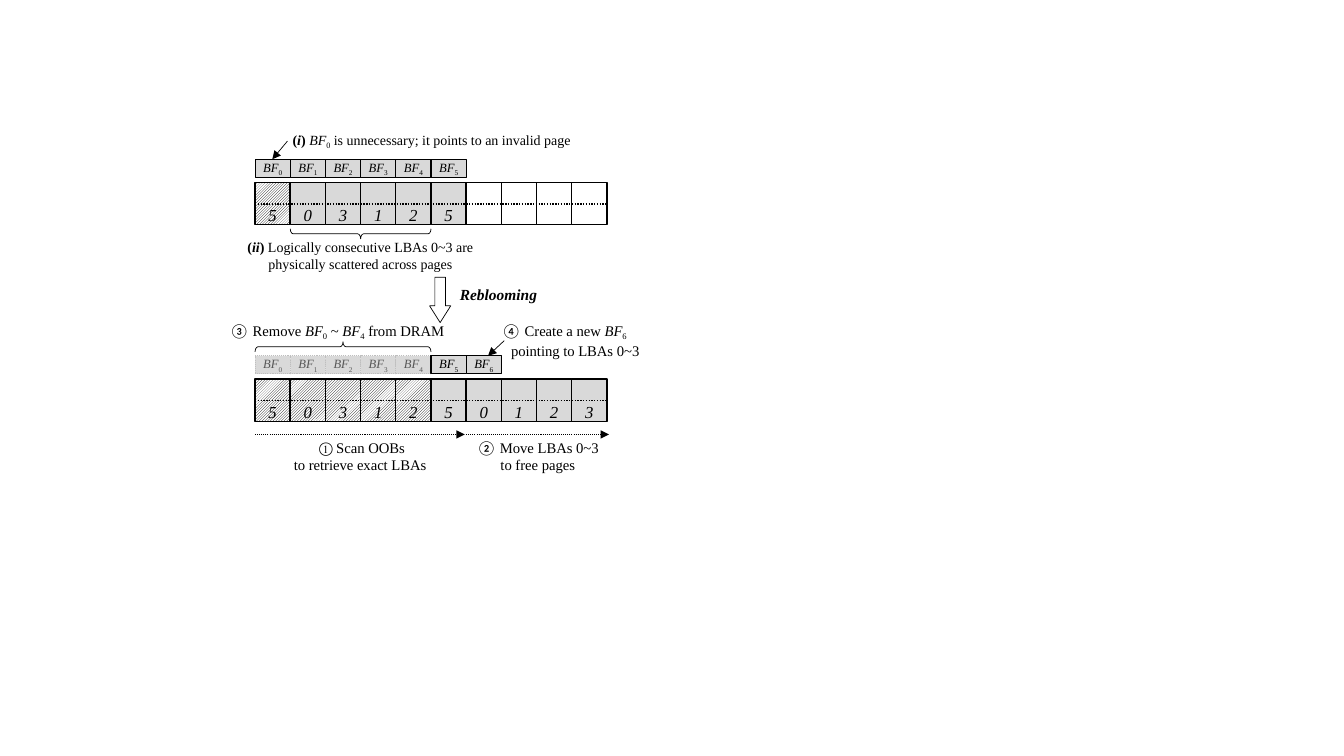
from lxml import etree
from pptx import Presentation
from pptx.dml.color import RGBColor
from pptx.enum.dml import MSO_LINE, MSO_PATTERN
from pptx.enum.shapes import MSO_CONNECTOR, MSO_SHAPE
from pptx.enum.text import MSO_ANCHOR, PP_ALIGN
from pptx.oxml.ns import qn
from pptx.util import Inches, Pt

RECTANGLE, BRACE, DOWN_ARROW = MSO_SHAPE.RECTANGLE, MSO_SHAPE.RIGHT_BRACE, MSO_SHAPE.DOWN_ARROW
STRAIGHT = MSO_CONNECTOR.STRAIGHT
DOTTED = MSO_LINE.ROUND_DOT
HATCH = MSO_PATTERN.LIGHT_UPWARD_DIAGONAL
TOP, MIDDLE = MSO_ANCHOR.TOP, MSO_ANCHOR.MIDDLE
CENTER, LEFT = PP_ALIGN.CENTER, PP_ALIGN.LEFT

BLACK, WHITE, GREY = "000000", "FFFFFF", "D9D9D9"
FADED_TEXT, FADED_LINE = "595959", "BFBFBF"

# Grid: ten flash pages across the strip, rows counted from the slide top
GRID_LEFT, PAGES = 2.53, 10
COLUMN, ROW = 3.49 / PAGES, 0.1


def color(value):
    return RGBColor.from_string(value)


class Diagram:
    """Holds the style and the slide; places elements by column and row."""
    font, number_font = "Times New Roman", "Calibri"

    def __init__(self, slide):
        self.shapes = slide.shapes

    def point(self, column, row):
        return Inches(GRID_LEFT + column * COLUMN), Inches(row * ROW)

    def area(self, column, row, columns, rows):
        return *self.point(column, row), Inches(columns * COLUMN), Inches(rows * ROW)

    def outline(self, line, width, value=BLACK, dotted=False):
        line.color.rgb = color(value)
        line.width = Pt(width)
        if dotted:
            line.dash_style = DOTTED

    def label(self, box, lines, size, value=BLACK, align=CENTER, anchor=TOP):
        """Each line is a list of (text, marks): b bold, i italic, s subscript, n number font."""
        frame = box.text_frame
        frame.word_wrap = True
        frame.vertical_anchor = anchor
        frame.margin_left = frame.margin_right = frame.margin_top = frame.margin_bottom = 0
        for number, spans in enumerate(lines):
            para = frame.add_paragraph() if number else frame.paragraphs[0]
            para.alignment = align
            for text, marks in spans:
                span = para.add_run()
                span.text = text
                span.font.name = self.number_font if "n" in marks else self.font
                span.font.size = Pt(size)
                span.font.bold = "b" in marks
                span.font.italic = "i" in marks
                span.font.color.rgb = color(value)
                if "s" in marks:
                    span.font._element.set("baseline", "-25000")
        return frame

    def text(self, area, lines, size, align=CENTER):
        return self.label(self.shapes.add_textbox(*self.area(*area)), lines, size, align=align)

    def shape(self, kind, area, fill, width, line=BLACK, dotted=False):
        box = self.shapes.add_shape(kind, *self.area(*area))
        box.shadow.inherit = False
        if fill is None:
            box.fill.background()
        elif fill == HATCH:
            box.fill.patterned()
            box.fill.pattern = HATCH
            box.fill.fore_color.rgb = color(BLACK)
            box.fill.back_color.rgb = color(WHITE)
        else:
            box.fill.solid()
            box.fill.fore_color.rgb = color(fill)
        self.outline(box.line, width, line, dotted)
        return box

    def line(self, start, end, width, dotted=False, arrow=False):
        link = self.shapes.add_connector(STRAIGHT, *self.point(*start), *self.point(*end))
        self.outline(link.line, width, dotted=dotted)
        if arrow:
            etree.SubElement(link.line._get_or_add_ln(), qn("a:tailEnd"), type="triangle")
        etree.SubElement(link._element.spPr, qn("a:effectLst"))

    def brace(self, column, row, columns, rotation):
        """Lay a one-row-thick brace on its side over the given columns."""
        brace = self.shape(BRACE, (column, row, columns, 1), None, 0.5)
        length, thickness = brace.width, brace.height
        brace.left += (length - thickness) // 2
        brace.top -= (length - thickness) // 2
        brace.width, brace.height = thickness, length
        brace.rotation = rotation
        brace.adjustments[0] = 0.29

    def filters(self, numbers, row, faded=False):
        for number in numbers:
            box = self.shape(RECTANGLE, (number, row, 1, 1.8), GREY, 0.75,
                             FADED_LINE if faded else BLACK, faded)
            self.label(box, [bloom(number)], 9, FADED_TEXT if faded else BLACK, anchor=MIDDLE)

    def strip(self, addresses, invalid, row):
        for column in range(PAGES):
            fill = HATCH if column < invalid else GREY if column < len(addresses) else WHITE
            self.shape(RECTANGLE, (column, row, 1, 4.2), fill, 1)
        self.line((0, row + 2.15), (PAGES, row + 2.15), 1, dotted=True)
        for column, address in enumerate(addresses):
            self.text((column, row + 2.25, 1, 2), [[(address, "i")]], 12)


def bloom(number):
    return [("BF", "i"), (str(number), "s")]


deck = Presentation()
deck.slide_width, deck.slide_height = Inches(13.33), Inches(7.5)
page = Diagram(deck.slides.add_slide(deck.slide_layouts[6]))

# Before reblooming
page.filters(range(6), 15.8)
page.strip("503125", 1, 18.1)
page.text((0.43, 13, 9.17, 1.7),
          [[("(", "b"), ("i", "bi"), (") ", "b"), *bloom(0),
            (" is unnecessary; it points to an invalid page", "")]], 10)
page.line((0.92, 14), (0.49, 15.8), 0.5, arrow=True)
page.brace(1, 22.7, 4, 90)
page.text((-0.29, 23.7, 6.56, 3.4),
          [[("(", "b"), ("ii", "bi"), (")", "b"),
            (" Logically consecutive LBAs 0~3 are physically scattered across pages", "")]], 10)

# Transition
arrow = page.shape(DOWN_ARROW, (4.96, 27.5, 0.6, 4.5), WHITE, 0.5)
arrow.adjustments[1] = 0.79
page.text((5.82, 28.3, 3, 1.9), [[("Reblooming", "bi")]], 11, LEFT)

# After reblooming
page.filters(range(5), 35.3, faded=True)
page.filters((5, 6), 35.3)
page.strip("5031250123", 5, 37.6)
page.brace(0, 33.9, 5, 270)
page.line((7.08, 33.8), (6.62, 35.3), 0.5, arrow=True)
for start, end in ((0, 5.96), (6, 10.06)):
    page.line((start, 43.1), (end, 43.1), 0.75, dotted=True, arrow=True)

# Numbered steps
page.text((0.92, 43.5, 4.13, 3.5),
          [[(" ① Scan OOBs", "")], [("to retrieve exact LBAs", "")]], 10.5)
page.text((6, 43.5, 4.07, 3.5),
          [[(" ", ""), ("②", "n"), (" Move LBAs 0~3 ", "")], [("to free pages", "")]], 10.5)
page.text((-0.89, 31.9, 6.33, 1.8),
          [[(" ", ""), ("③", "n"), (" Remove ", ""), *bloom(0), (" ~ ", ""), *bloom(4),
            (" from DRAM", "")]], 10.5)
create = page.text((6.05, 31.9, 5.47, 3.5),
                   [[("④", "n"), (" Create a new ", ""), *bloom(6)],
                    [("pointing to LBAs 0~3", "")]], 10.5)
create.paragraphs[1]._p.get_or_add_pPr().set("marL", str(Inches(0.22)))

deck.save("out.pptx")
